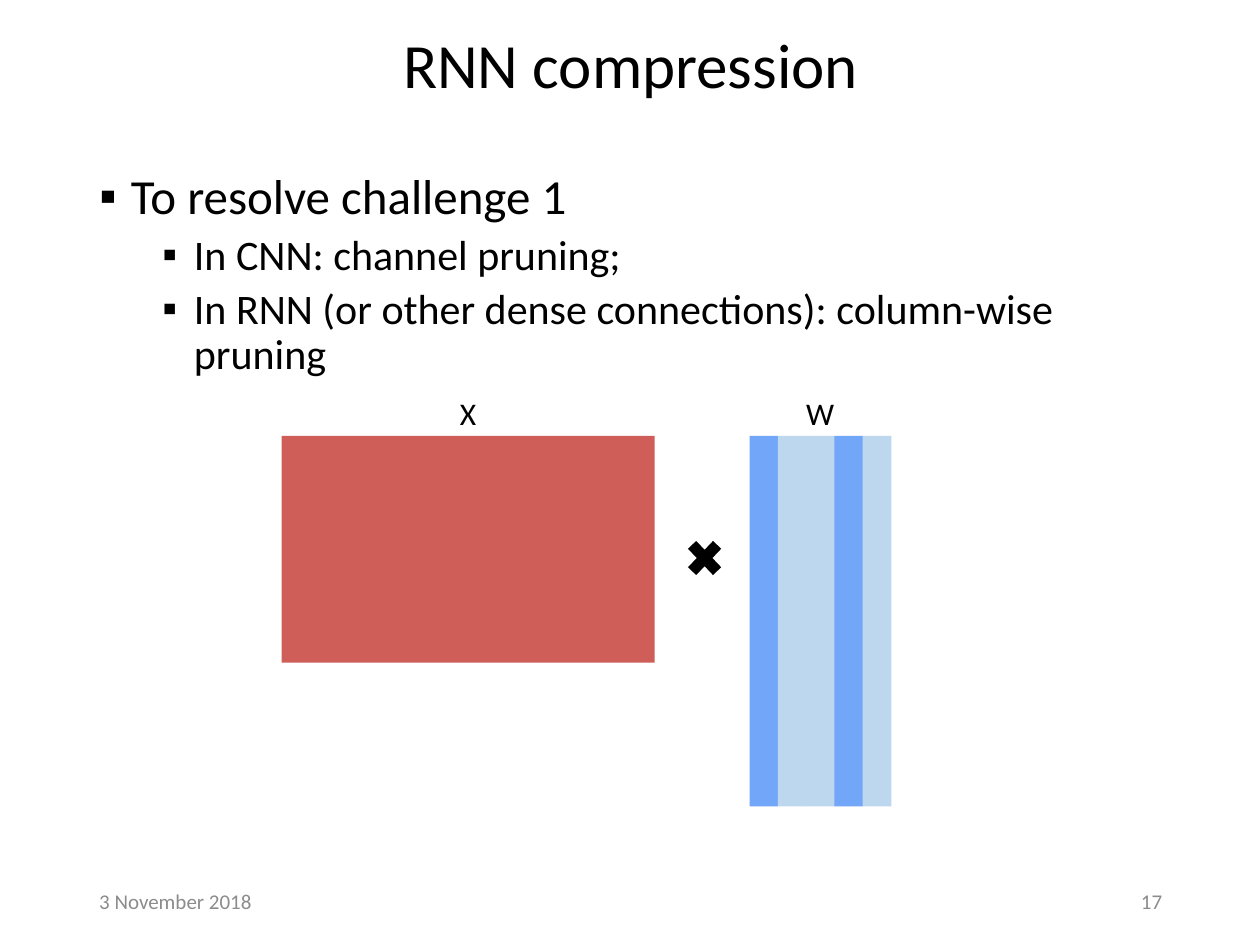
from lxml.etree import SubElement as Sub
from pptx import Presentation
from pptx.dml.color import RGBColor as Rgb
from pptx.enum.shapes import MSO_SHAPE as Kind
from pptx.enum.text import MSO_ANCHOR as Anchor, MSO_AUTO_SIZE as Fit, PP_ALIGN as Align
from pptx.oxml.ns import qn
from pptx.util import Cm, Pt

HUES = {"ink": "000000", "gray": "8C8C8C", "red": "CF5E58",
        "blue": "72A6F8", "pale": "BDD7EE"}
ITEMS = [
    (0, "To resolve challenge 1"),
    (1, "In CNN: channel pruning;"),
    (1, "In RNN (or other dense connections): column-wise pruning"),
]
LEVELS = [(28, 10, 0.25), (24, 5, 0.75)]
STRIPES = ["blue", "pale", "pale", "blue", "pale"]


def style(para, size, hue="ink", align=Align.LEFT):
    """Set the font and alignment of a paragraph."""
    para.alignment = align
    font = para.font
    font.name, font.size = "Calibri", Pt(size)
    font.color.rgb = Rgb.from_string(HUES[hue])


def place(shape, box):
    """Move and size a shape to a box in centimetres."""
    shape.left, shape.top, shape.width, shape.height = map(Cm, box)


def bullet(para, left):
    """Give a paragraph a square bullet and a hanging indent in inches."""
    props = para._p.get_or_add_pPr()
    props.set("marL", str(Cm(left * 2.54)))
    props.set("indent", str(-Cm(0.25 * 2.54)))
    Sub(props, qn("a:buFont"), typeface="Arial")
    Sub(props, qn("a:buChar"), char="▪")


def title(slide, text):
    """Fill the title placeholder."""
    shape = slide.shapes.title
    place(shape, (1.96, 0.38, 21.51, 1.98))
    frame = shape.text_frame
    frame.text = text
    frame.vertical_anchor, frame.auto_size = Anchor.MIDDLE, Fit.NONE
    para = frame.paragraphs[0]
    para.line_spacing = 0.9
    style(para, 36, align=Align.CENTER)


def body(slide):
    """Fill the body placeholder with the bullet list."""
    shape = slide.placeholders[1]
    place(shape, (1.75, 3.35, 21.9, 13.49))
    frame = shape.text_frame
    frame.text = "\n".join(text for _, text in ITEMS)
    frame.auto_size = Fit.NONE
    for para, (level, _) in zip(frame.paragraphs, ITEMS):
        size, gap, left = LEVELS[level]
        para.level = level
        bullet(para, left)
        para.line_spacing, para.space_before = 0.9, Pt(gap)
        style(para, size)


def label(slide, text, box, size, hue="ink", align=Align.LEFT, wrap=True):
    """Add a text box: a wrapped footer or a fitted caption."""
    frame = slide.shapes.add_textbox(*map(Cm, box)).text_frame
    frame.text, frame.word_wrap = text, wrap
    frame.vertical_anchor = Anchor.MIDDLE if wrap else Anchor.TOP
    frame.auto_size = Fit.NONE if wrap else Fit.SHAPE_TO_FIT_TEXT
    style(frame.paragraphs[0], size, hue, align)


def block(slide, box, hue, kind=Kind.RECTANGLE):
    """Add a plain filled shape."""
    shape = slide.shapes.add_shape(kind, *map(Cm, box))
    shape.shadow.inherit = False
    shape.fill.solid()
    shape.fill.fore_color.rgb = Rgb.from_string(HUES[hue])
    shape.line.fill.background()


def main():
    """Build the slide and save it."""
    deck = Presentation()
    deck.slide_width, deck.slide_height = Cm(25.4), Cm(19.05)
    slide = deck.slides.add_slide(deck.slide_layouts[1])
    title(slide, "RNN compression")
    label(slide, "3 November 2018", (1.75, 17.65, 3.94, 1.02), 12, "gray")
    label(slide, "17", (20.68, 17.65, 3, 1.02), 12, "gray", Align.RIGHT)
    body(slide)
    block(slide, (5.68, 8.79, 7.52, 4.57), "red")
    for col, hue in enumerate(STRIPES):
        block(slide, (15.11 + col * 0.57, 8.79, 0.58, 7.47), hue)
    label(slide, "X", (9.02, 7.82, 0.84, 1.02), 18, wrap=False)
    label(slide, "W", (16, 7.82, 1.09, 1.02), 18, wrap=False)
    block(slide, (13.72, 10.74, 0.97, 1.02), "ink", Kind.MATH_MULTIPLY)
    deck.save("out.pptx")


if __name__ == "__main__":
    main()
